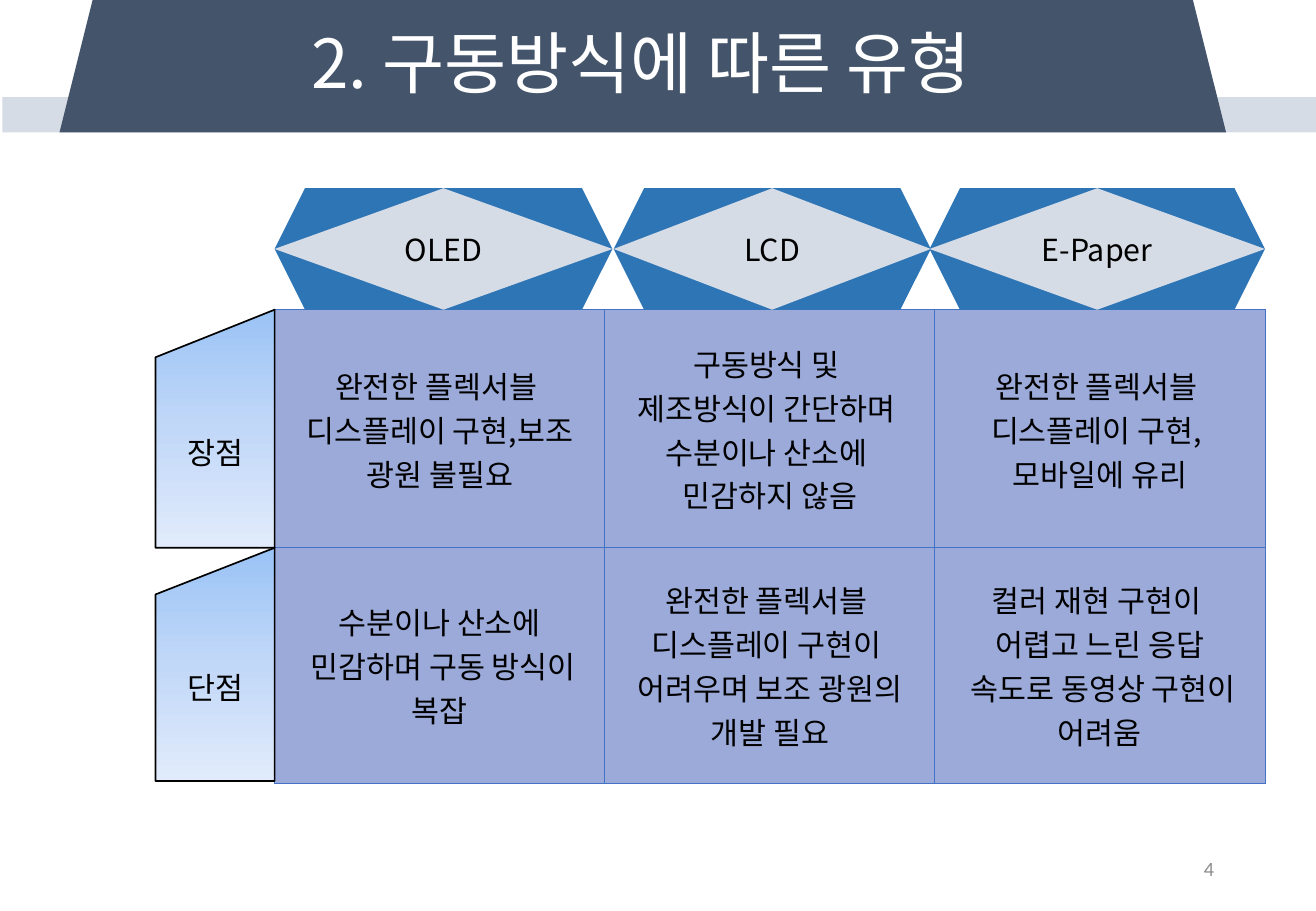
from copy import deepcopy

from lxml.etree import SubElement
from pptx import Presentation
from pptx.dml.color import RGBColor
from pptx.enum.shapes import MSO_SHAPE
from pptx.enum.text import MSO_ANCHOR, PP_ALIGN
from pptx.oxml.ns import qn
from pptx.util import Inches, Pt

# Content
TITLE = "2. 구동방식에 따른 유형"
PAGE = "4"
HEADS = [("OLED", 2.26, 2.78), ("LCD", 5.05, 2.61), ("E-Paper", 7.65, 2.76)]  # text, left, width
ROWS = [("장점", 1.96, 1.96), ("단점", 1.94, 1.92)]  # label, row height, label height
CELLS = [
    [
        ["완전한 플렉서블 ", "디스플레이 구현,보조 광원 불필요"],
        ["구동방식 및 ", "제조방식이 간단하며 ", "수분이나 산소에 ", "민감하지 않음"],
        ["완전한 플렉서블 ", "디스플레이 구현, ", "모바일에 유리"],
    ],
    [
        ["수분이나 산소에", " 민감하며 구동 방식이 복잡"],
        ["완전한 플렉서블 ", "디스플레이 구현이 ", "어려우며 보조 광원의 개발 필요"],
        ["컬러 재현 구현이 ", "어렵고 느린 응답", " 속도로 동영상 구현이 어려움"],
    ],
]

# Style
FONT = "Noto Sans CJK KR"
BLACK = RGBColor(0x00, 0x00, 0x00)
WHITE = RGBColor(0xFF, 0xFF, 0xFF)
GRAY = RGBColor(0x8C, 0x8C, 0x8C)
NAVY = RGBColor(0x44, 0x54, 0x6A)
PALE = RGBColor(0xD6, 0xDC, 0xE5)
BLUE = RGBColor(0x2E, 0x75, 0xB6)
CELL = RGBColor(0x9B, 0xAA, 0xD9)
BORDER = RGBColor(0x44, 0x72, 0xC4)
GRADIENT = [(0, RGBColor(0x9A, 0xC3, 0xF5)), (0.5, RGBColor(0xC2, 0xD8, 0xF8)),
            (1, RGBColor(0xE1, 0xEB, 0xFB))]

# Layout in inches
TABLE_LEFT, TABLE_TOP, TABLE_W = 2.26, 2.55, 8.15
HEAD_H = 1
LABEL_W = 0.98

prs = Presentation()
prs.slide_width, prs.slide_height = Inches(10.83), Inches(7.5)
s = prs.slides.add_slide(prs.slide_layouts[6])


def write(tf, *lines, size=18, font=FONT, color=BLACK, align=PP_ALIGN.CENTER, spacing=None):
    tf.word_wrap = True
    tf.vertical_anchor = MSO_ANCHOR.MIDDLE
    for i, line in enumerate(lines):
        p = tf.add_paragraph() if i else tf.paragraphs[0]
        p.alignment = align
        if spacing:
            p.line_spacing = spacing
        r = p.add_run()
        r.text = line
        r.font.size, r.font.name, r.font.color.rgb = Pt(size), font, color
        SubElement(r.font._element, qn("a:ea"), typeface=font)


def box(x, y, w, h):
    return s.shapes.add_textbox(Inches(x), Inches(y), Inches(w), Inches(h)).text_frame


def shape(kind, x, y, w, h, fill=None):
    sp = s.shapes.add_shape(kind, Inches(x), Inches(y), Inches(w), Inches(h))
    sp.shadow.inherit = False
    sp.line.fill.background()
    if fill is not None:
        sp.fill.solid()
        sp.fill.fore_color.rgb = fill
    return sp


def shade(sp):
    sp.fill.gradient()
    sp.fill.gradient_angle = 270
    stops = sp._element.spPr.find(qn("a:gradFill")).find(qn("a:gsLst"))
    stops.insert(1, deepcopy(stops[0]))
    for stop, (position, color) in zip(sp.fill.gradient_stops, GRADIENT):
        stop.position, stop.color.rgb = position, color


def outline(cell):
    tcPr = cell._tc.get_or_add_tcPr()
    for i, side in enumerate(("a:lnL", "a:lnR", "a:lnT", "a:lnB")):
        ln = SubElement(tcPr, qn(side), w=str(Pt(0.5)))
        SubElement(SubElement(ln, qn("a:solidFill")), qn("a:srgbClr"), val=str(BORDER))
        tcPr.insert(i, ln)


# Title band and page number
shape(MSO_SHAPE.RECTANGLE, 0.02, 0.8, 10.83, 0.29, PALE)
shape(MSO_SHAPE.TRAPEZOID, 0.49, 0, 9.6, 1.09, NAVY)
write(box(0.74, 0, 9.07, 1.09), TITLE, size=40, color=WHITE, spacing=0.9)
write(box(7.65, 6.95, 2.44, 0.4), PAGE, size=12, font="Calibri", color=GRAY, align=PP_ALIGN.RIGHT)

# Comparison table
table = s.shapes.add_table(
    len(ROWS), len(HEADS), Inches(TABLE_LEFT), Inches(TABLE_TOP),
    Inches(TABLE_W), Inches(sum(h for _, h, _ in ROWS))).table
for col in table.columns:
    col.width = Inches(TABLE_W / len(HEADS))
for i, (_, row_h, _) in enumerate(ROWS):
    table.rows[i].height = Inches(row_h)
    for j, lines in enumerate(CELLS[i]):
        cell = table.cell(i, j)
        cell.fill.solid()
        cell.fill.fore_color.rgb = CELL
        outline(cell)
        cell.vertical_anchor = MSO_ANCHOR.MIDDLE
        write(cell.text_frame, *lines)

# Row labels
y = TABLE_TOP
for label, row_h, label_h in ROWS:
    sp = shape(MSO_SHAPE.FLOWCHART_MANUAL_INPUT, TABLE_LEFT - LABEL_W, y, LABEL_W, label_h)
    shade(sp)
    sp.line.color.rgb, sp.line.width = BLACK, Pt(1)
    write(sp.text_frame, label)
    y += row_h

# Column heads
for head, x, w in HEADS:
    top = TABLE_TOP - HEAD_H
    shape(MSO_SHAPE.HEXAGON, x, top, w, HEAD_H, BLUE)
    write(shape(MSO_SHAPE.DIAMOND, x, top, w, HEAD_H, PALE).text_frame, head)

prs.save("out.pptx")
